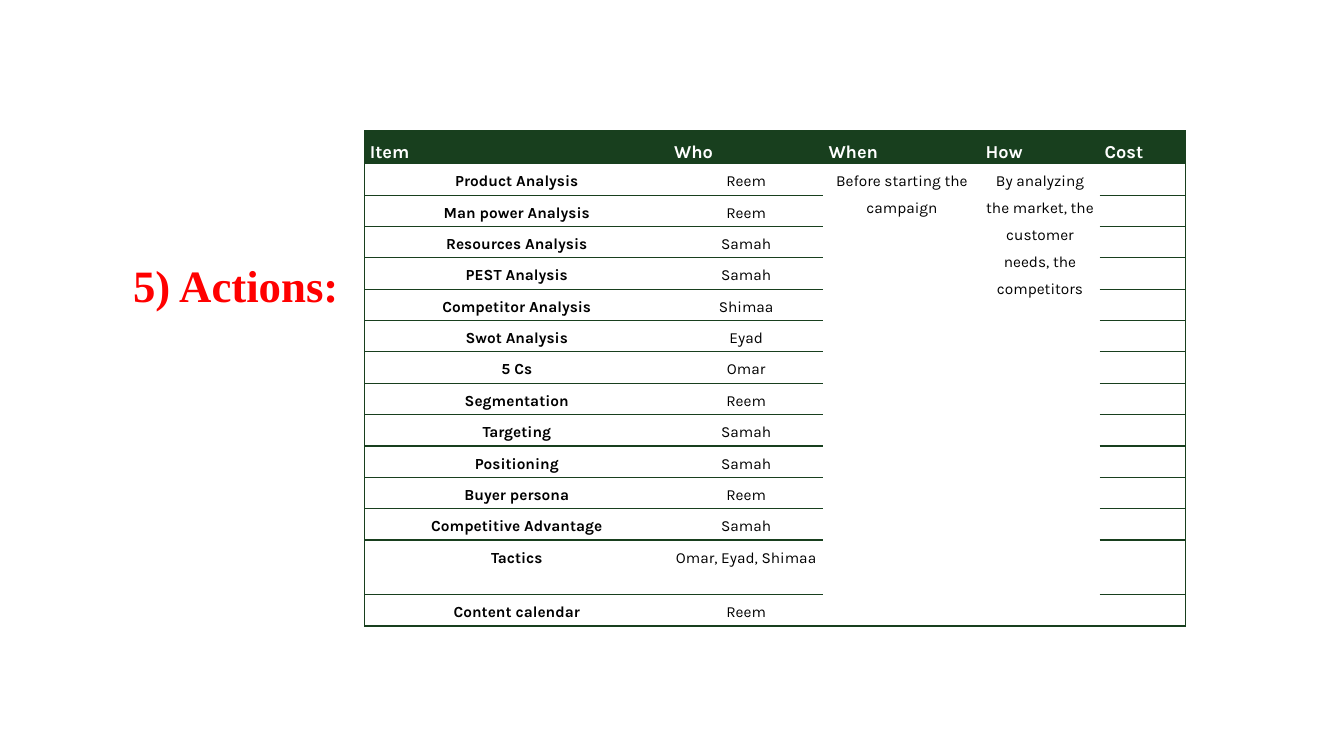
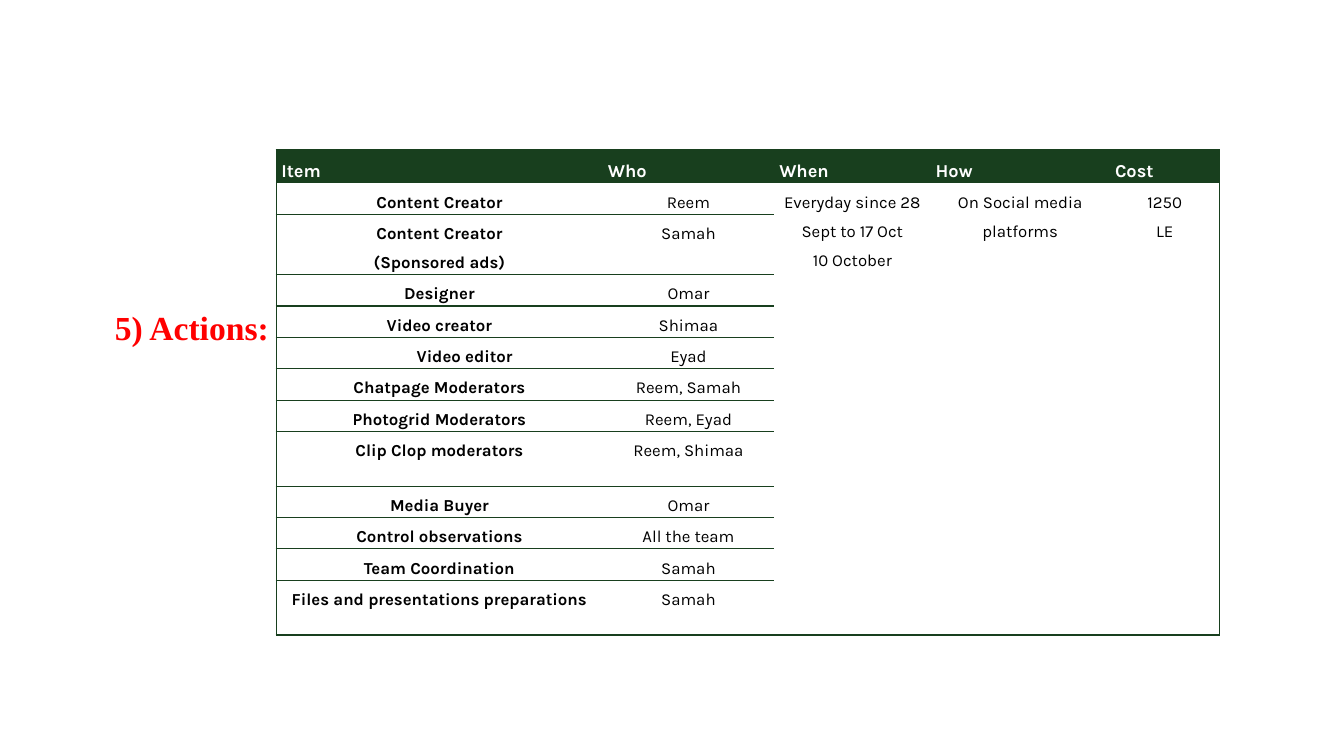
"""Build two action-plan slides, each with a side title and a task table."""
from dataclasses import dataclass

from lxml.etree import SubElement
from pptx import Presentation
from pptx.dml.color import RGBColor
from pptx.enum.text import MSO_ANCHOR, MSO_AUTO_SIZE, PP_ALIGN
from pptx.oxml.ns import qn
from pptx.util import Cm, Pt

COLORS = {"green": "183F1E", "red": "FF0000", "white": "FFFFFF", "black": "000000"}
FONTS = {"title": "Times New Roman", "table": "Karla"}
PLAIN = "{2D5ABB26-0587-4C30-8999-92F81FD0307C}"
HEADS = ("Item", "Who", "When", "How", "Cost")
LOW, TALL = 0.79, 1.38


@dataclass(frozen=True)
class Task:
    item: str
    who: str
    high: float = LOW
    indent: float = 0


@dataclass(frozen=True)
class Board:
    title_box: tuple[float, float, float, float]
    title_size: int
    left: float
    top: float
    widths: tuple[float, ...]
    size: int
    tasks: tuple[Task, ...]
    shared: dict[int, str]


BOARDS = (
    Board(
        (3.1, 5.69, 6.1, 2.08), 32, 9.19, 3.3, (7.67, 3.89, 3.96, 3, 2.16), 11,
        (
            Task("Product Analysis", "Reem"),
            Task("Man power Analysis", "Reem"),
            Task("Resources Analysis", "Samah"),
            Task("PEST Analysis", "Samah"),
            Task("Competitor Analysis", "Shimaa"),
            Task("Swot Analysis", "Eyad"),
            Task("5 Cs", "Omar"),
            Task("Segmentation", "Reem"),
            Task("Targeting", "Samah"),
            Task("Positioning", "Samah"),
            Task("Buyer persona", "Reem"),
            Task("Competitive Advantage", "Samah"),
            Task("Tactics", "Omar, Eyad, Shimaa", TALL),
            Task("Content calendar", "Reem"),
        ),
        {
            2: "Before starting the campaign",
            3: "By analyzing the market, the customer needs, the competitors",
        },
    ),
    Board(
        (2.64, 7.09, 5.61, 1.63), 24, 6.96, 3.78, (8.23, 4.32, 3.94, 4.52, 2.77), 12,
        (
            Task("Content Creator", "Reem"),
            Task("Content Creator\n(Sponsored ads)", "Samah", TALL),
            Task("Designer", "Omar"),
            Task("Video creator", "Shimaa"),
            Task("Video editor", "Eyad", indent=1.27),
            Task("Chatpage Moderators", "Reem, Samah"),
            Task("Photogrid Moderators", "Reem, Eyad"),
            Task("Clip Clop moderators", "Reem, Shimaa", TALL),
            Task("Media Buyer", "Omar"),
            Task("Control observations", "All the team"),
            Task("Team Coordination", "Samah"),
            Task("Files and presentations preparations", "Samah", TALL),
        ),
        {
            2: "Everyday since 28 Sept to 17 Oct\n10 October",
            3: "On Social media platforms",
            4: "1250\nLE",
        },
    ),
)


def write(frame, text: str, font: str, size: int, color: str, bold: bool,
          align=PP_ALIGN.LEFT, indent: float = 0) -> None:
    for num, line in enumerate(text.split("\n")):
        para = frame.add_paragraph() if num else frame.paragraphs[0]
        para.alignment = align
        para.line_spacing = 1.5
        if indent:
            para._p.get_or_add_pPr().set("indent", str(Cm(indent)))
        run = para.add_run()
        run.text = line
        run.font.name = font
        run.font.size = Pt(size)
        run.font.bold = bold
        run.font.color.rgb = RGBColor.from_string(COLORS[color])


def edge(cell, sides: list[str]) -> None:
    props = cell._tc.get_or_add_tcPr()
    for side in sides:
        line = SubElement(props, qn(f"a:ln{side}"), w=str(Pt(1)))
        fill = SubElement(line, qn("a:solidFill"))
        SubElement(fill, qn("a:srgbClr"), val=COLORS["green"])


def add_title(slide, board: Board) -> None:
    title = slide.shapes.title
    title.left, title.top, title.width, title.height = map(Cm, board.title_box)
    frame = title.text_frame
    frame.word_wrap = True
    frame.auto_size = MSO_AUTO_SIZE.SHAPE_TO_FIT_TEXT
    frame.vertical_anchor = MSO_ANCHOR.TOP
    write(frame, "5) Actions:", FONTS["title"], board.title_size, "red", True)


def style_cell(cell, row: int, col: int, last: int, board: Board) -> None:
    cell.margin_left = cell.margin_right = Cm(0.13)
    cell.margin_top = cell.margin_bottom = 0
    ruled = row > 0 and (col not in board.shared or row == 1)
    tests = {
        "L": col == 0,
        "R": col == len(HEADS) - 1,
        "T": row == 0,
        "B": row == last or ruled,
    }
    edge(cell, [side for side, shown in tests.items() if shown])
    if row == 0:
        cell.fill.solid()
        cell.fill.fore_color.rgb = RGBColor.from_string(COLORS["green"])
    else:
        cell.fill.background()


def add_grid(slide, board: Board) -> None:
    highs = [LOW] + [task.high for task in board.tasks]
    last = len(board.tasks)
    frame = slide.shapes.add_table(
        last + 1, len(HEADS), Cm(board.left), Cm(board.top),
        Cm(sum(board.widths)), Cm(sum(highs)))
    table = frame.table
    table.first_row = table.horz_banding = False
    table._tbl.tblPr.find(qn("a:tableStyleId")).text = PLAIN
    for col, width in zip(table.columns, board.widths):
        col.width = Cm(width)
    for row, high in zip(table.rows, highs):
        row.height = Cm(high)
    for row in range(last + 1):
        for col in range(len(HEADS)):
            style_cell(table.cell(row, col), row, col, last, board)

    font = FONTS["table"]
    for col, head in enumerate(HEADS):
        write(table.cell(0, col).text_frame, head, font, 13, "white", True)
    for row, task in enumerate(board.tasks, 1):
        write(table.cell(row, 0).text_frame, task.item, font, board.size,
              "black", True, PP_ALIGN.CENTER, task.indent)
        write(table.cell(row, 1).text_frame, task.who, font, board.size,
              "black", False, PP_ALIGN.CENTER)
    for col, text in board.shared.items():
        cell = table.cell(1, col)
        cell.merge(table.cell(last, col))
        write(cell.text_frame, text, font, board.size, "black", False, PP_ALIGN.CENTER)


def main() -> None:
    deck = Presentation()
    deck.slide_width, deck.slide_height = Cm(33.87), Cm(19.05)
    for board in BOARDS:
        slide = deck.slides.add_slide(deck.slide_layouts[5])
        add_title(slide, board)
        add_grid(slide, board)
    deck.save("out.pptx")


if __name__ == "__main__":
    main()
